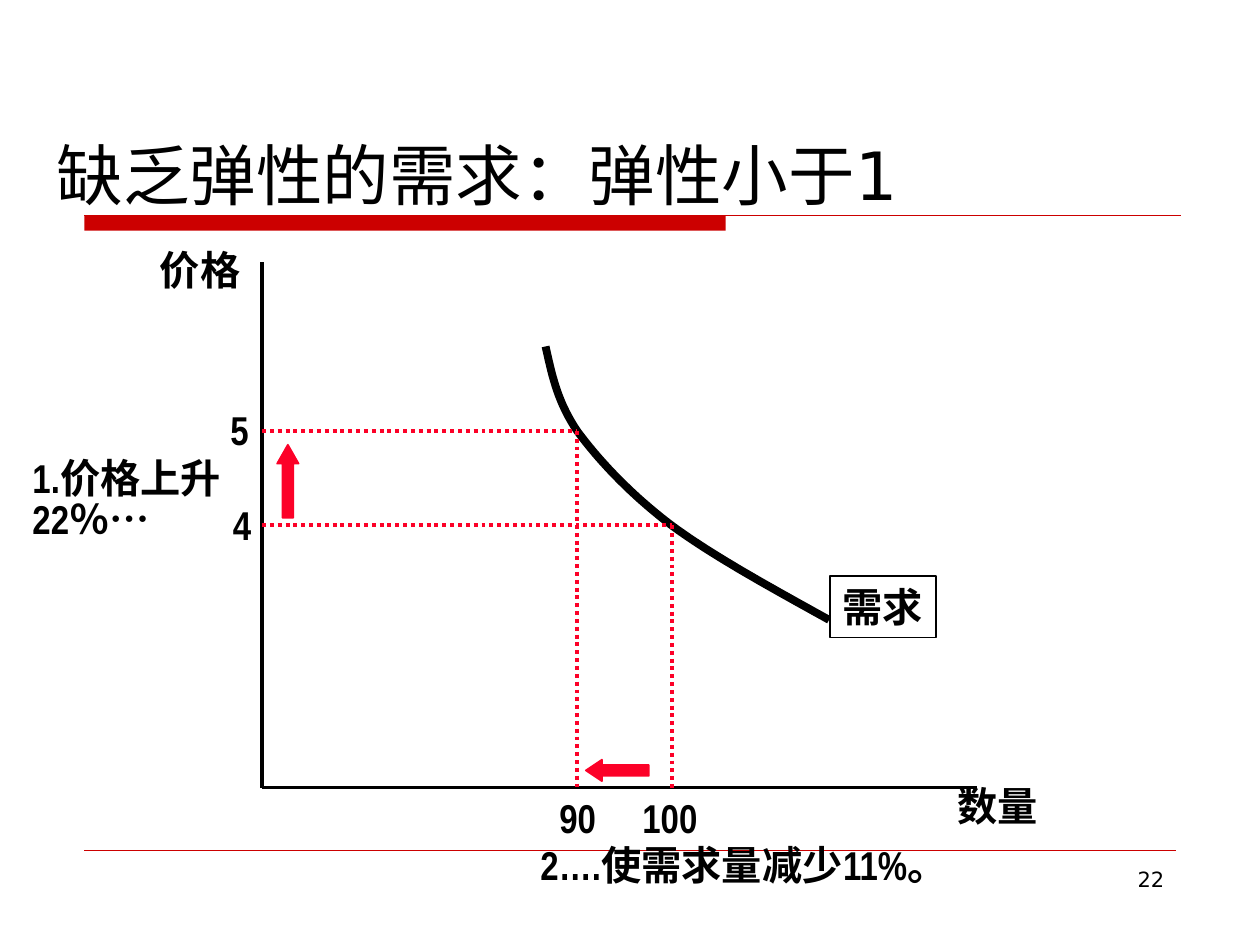
import pptx
import pptx.util
import pptx.dml.color
import pptx.enum.dml
import pptx.enum.shapes
import pptx.enum.text
import pptx.oxml
import pptx.oxml.ns

Inches = pptx.util.Inches
Pt = pptx.util.Pt
Kind = pptx.enum.shapes.MSO_SHAPE
Align = pptx.enum.text.PP_ALIGN

THEME = {
    "ink": "000000", "bar": "CC0000", "mark": "FC0128",
    "head": "DejaVu Sans", "body": "Arial Narrow",
    "title": 38, "label": 23, "page": 12,
}

TITLE = "缺乏弹性的需求：弹性小于1"
LEFT, BASE = 2.08, 6.25  # origin of the axes
TOP, RIGHT = 2.08, 7.75
POINTS = [(4.58, 3.42), (5.33, 4.17)]  # (quantity, price) on the curve
LABELS = [  # text, left, top, width
    ("价格", 1.17, 1.9, 0.84),
    ("数量", 7.5, 6.15, 0.84),
    ("5", 1.73, 3.17, 0.34),
    ("4", 1.75, 3.92, 0.34),
    ("90", 4.34, BASE, 0.49),
    ("100", 5, BASE, 0.64),
]
ARROWS = [  # kind, box, head length
    (Kind.UP_ARROW, (2.2, 3.53, 0.17, 0.58), 0.88),
    (Kind.LEFT_ARROW, (4.65, 6.03, 0.5, 0.17), 0.75),
]
START = (4.33, 2.75)
CURVES = [  # two controls and an end for each Bezier part
    ((4.38, 2.97), (4.42, 3.18), POINTS[0]),
    ((4.75, 3.65), (5, 3.92), POINTS[1]),
    ((5.67, 4.42), (6.13, 4.67), (6.58, 4.92)),
]
STEPS = 24


def rgb(name):
    return pptx.dml.color.RGBColor.from_string(THEME[name])


def write(shape, text, size="label", font="body", bold=True,
          align=Align.LEFT, space=None, wrap=False, anchor="TOP"):
    frame = shape.text_frame
    frame.word_wrap = wrap
    frame.auto_size = pptx.enum.text.MSO_AUTO_SIZE.NONE
    frame.vertical_anchor = getattr(pptx.enum.text.MSO_ANCHOR, anchor)
    frame.margin_left = frame.margin_right = Inches(0.1)
    frame.margin_top = frame.margin_bottom = Inches(0.05)
    frame.text = text
    for para in frame.paragraphs:
        para.alignment = align
        para.space_before = Pt(0)
        if space:
            para.line_spacing = space
        for run in para.runs:
            run.font.name = THEME[font]
            run.font.size = Pt(THEME[size])
            run.font.bold = bold
            run.font.color.rgb = rgb("ink")


def label(slide, text, *box, **style):
    shape = slide.shapes.add_textbox(*map(Inches, box))
    write(shape, text, **style)
    return shape


def stroke(shape, color, width):
    shape.line.color.rgb = rgb(color)
    shape.line.width = Pt(width)


def line(slide, x1, y1, x2, y2, color="ink", width=2.25, dots=False):
    link = slide.shapes.add_connector(
        pptx.enum.shapes.MSO_CONNECTOR.STRAIGHT,
        *map(Inches, (x1, y1, x2, y2)))
    stroke(link, color, width)
    if dots:
        link.line.dash_style = pptx.enum.dml.MSO_LINE.ROUND_DOT
    props = link._element.spPr
    props.append(pptx.oxml.parse_xml(
        "<a:effectLst %s/>" % pptx.oxml.ns.nsdecls("a")))


def block(slide, kind, box, color):
    shape = slide.shapes.add_shape(kind, *map(Inches, box))
    shape.shadow.inherit = False
    shape.fill.solid()
    shape.fill.fore_color.rgb = rgb(color)
    return shape


def trace():
    """Points along the joined Bezier parts of the demand curve."""
    dots, a = [], START
    for b, c, d in CURVES:
        for step in range(1, STEPS + 1):
            t = step / STEPS
            u = 1 - t
            dots.append(tuple(
                u**3 * p + 3 * u * u * t * q + 3 * u * t * t * r + t**3 * s
                for p, q, r, s in zip(a, b, c, d)))
        a = d
    return dots


def frame(slide):
    block(slide, Kind.RECTANGLE, (0.67, 1.71, 5.09, 0.12),
          "bar").line.fill.background()
    line(slide, 0.67, 1.71, 9.37, 1.71, "bar", 0.75)
    line(slide, 0.67, 6.75, 9.33, 6.75, "bar", 0.25)
    title = slide.shapes.title
    title.left, title.top, title.width, title.height = map(
        Inches, (0.35, 0.68, 9.23, 1.07))
    write(title, TITLE, size="title", font="head", bold=False,
          space=1.4, wrap=True, anchor="BOTTOM")
    label(slide, "22", 7.17, 6.83, 2.17, 0.52, size="page", font="head",
          bold=False, align=Align.RIGHT, wrap=True)


def graph(slide):
    line(slide, LEFT, TOP, LEFT, BASE)
    line(slide, LEFT, BASE, RIGHT, BASE)
    for text, x, y, width in LABELS:
        label(slide, text, x, y, width, 0.49)

    pen = slide.shapes.build_freeform(
        *map(Inches, START), scale=1.0)
    pen.add_line_segments(
        [(Inches(x), Inches(y)) for x, y in trace()], close=False)
    curve = pen.convert_to_shape()
    curve.shadow.inherit = False
    curve.fill.background()
    stroke(curve, "ink", 4.5)

    for x, y in POINTS:
        line(slide, LEFT, y, x, y, "mark", dots=True)
        line(slide, x, y, x, BASE, "mark", dots=True)
    for kind, box, head in ARROWS:
        arrow = block(slide, kind, box, "mark")
        arrow.adjustments[0] = 0.5
        arrow.adjustments[1] = head
        stroke(arrow, "mark", 1)


def notes(slide):
    stroke(label(slide, "需求", 6.59, 4.57, 0.84, 0.49), "ink", 1)
    label(slide, "1.价格上升\n22％…", 0.16, 3.61, 1.77, 0.79, space=0.85)
    label(slide, "2….使需求量减少11%。", 3.95, 6.62, 3.67, 0.49,
          align=Align.RIGHT)


def main():
    deck = pptx.Presentation()
    deck.slide_width, deck.slide_height = Inches(10), Inches(7.5)
    slide = deck.slides.add_slide(deck.slide_layouts[5])
    frame(slide)
    graph(slide)
    notes(slide)
    deck.save("out.pptx")


if __name__ == "__main__":
    main()
